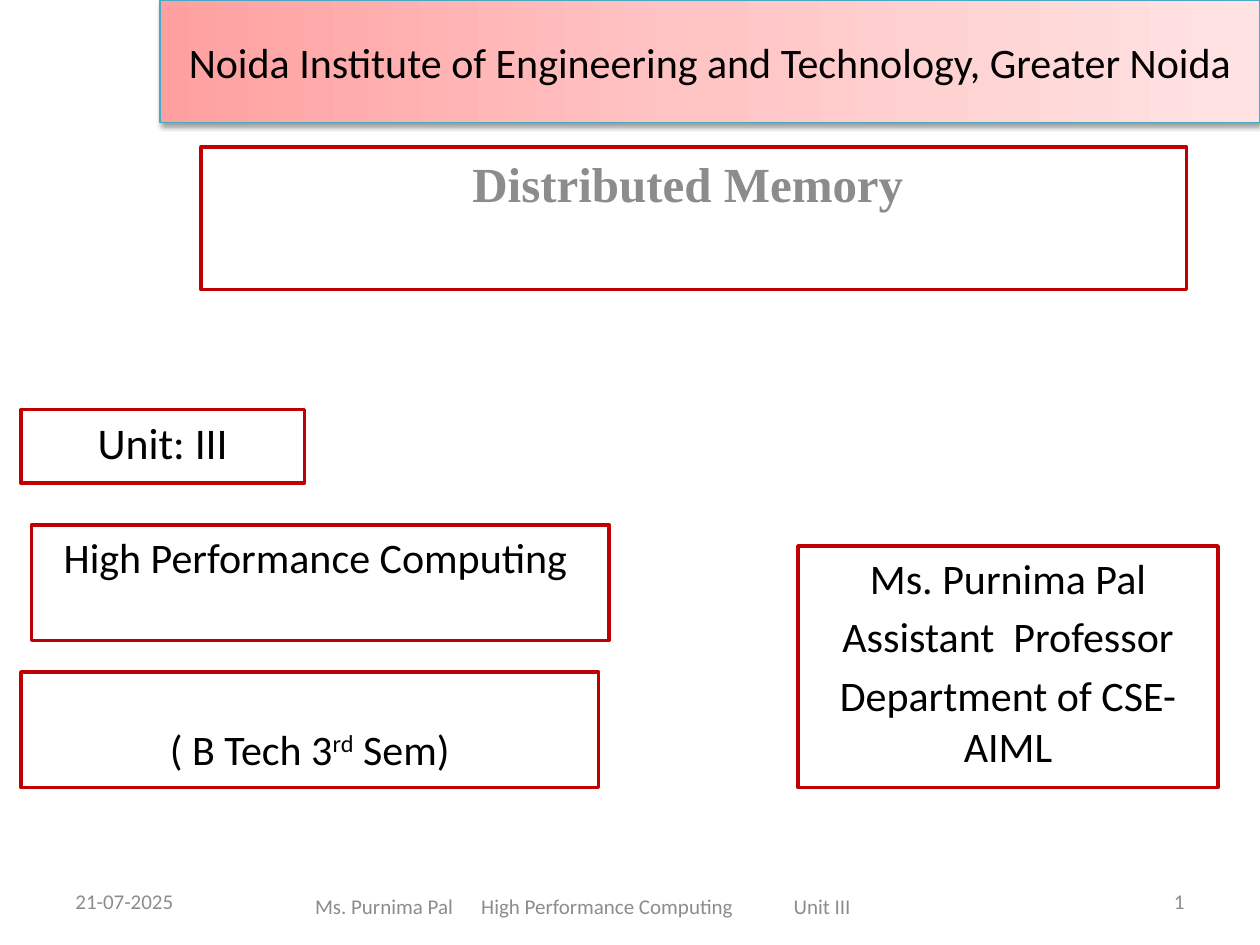
from dataclasses import dataclass
from typing import NamedTuple

from lxml.etree import SubElement
from pptx import Presentation
from pptx.dml.color import RGBColor
from pptx.enum.shapes import MSO_SHAPE
from pptx.enum.text import MSO_ANCHOR, PP_ALIGN
from pptx.oxml import parse_xml
from pptx.oxml.ns import nsdecls, qn
from pptx.util import Pt


@dataclass(frozen=True)
class Theme:
    white: str = "FFFFFF"
    black: str = "000000"
    grey: str = "8C8C8C"
    red: str = "C00000"
    teal: str = "46AAC5"
    gradient: tuple = ((0, "FFA0A0"), (50, "FFC5C5"), (100, "FFE3E3"))
    body: str = "Calibri"
    serif: str = "Times New Roman"
    title_size: float = 28
    unit_size: float = 25
    body_size: float = 24
    footer_size: float = 12
    frame: float = 2
    hairline: float = 0.75


T = Theme()


class Box(NamedTuple):
    left: float
    top: float
    width: float
    height: float


@dataclass(frozen=True)
class Label:
    """Text block; each line is a tuple of (text, superscript) runs."""
    box: Box
    lines: tuple
    size: float = T.body_size
    font: str = T.body
    color: str = T.black
    bold: bool = False
    align: PP_ALIGN = PP_ALIGN.CENTER
    anchor: MSO_ANCHOR = MSO_ANCHOR.TOP
    margin_left: float = 7.2
    margin_bottom: float = 3.6
    tabs: tuple = ()


def line(text: str) -> tuple:
    return ((text, False),)


def rgb(value: str) -> RGBColor:
    return RGBColor.from_string(value)


def write_text(sp, label: Label) -> None:
    tf = sp.text_frame
    frame_format = {
        "word_wrap": True,
        "vertical_anchor": label.anchor,
        "margin_left": Pt(label.margin_left),
        "margin_bottom": Pt(label.margin_bottom),
    }
    for name, value in frame_format.items():
        setattr(tf, name, value)
    font_format = {"name": label.font, "size": Pt(label.size), "bold": label.bold}
    for i, runs in enumerate(label.lines):
        p = tf.add_paragraph() if i else tf.paragraphs[0]
        p.alignment = label.align
        p.space_before = Pt(0.2 * label.size if i else 0)
        if label.tabs:
            tab_list = SubElement(p._p.get_or_add_pPr(), qn("a:tabLst"))
            for pos in label.tabs:
                SubElement(tab_list, qn("a:tab"), pos=str(Pt(pos)), algn="l")
        for text, superscript in runs:
            r = p.add_run()
            r.text = text
            for name, value in font_format.items():
                setattr(r.font, name, value)
            r.font.color.rgb = rgb(label.color)
            if superscript:
                r.font._element.set("baseline", "30000")


def add_rectangle(s, label: Label, line_color: str, line_width: float):
    sp = s.shapes.add_shape(MSO_SHAPE.RECTANGLE, *map(Pt, label.box))
    sp.shadow.inherit = False
    sp.fill.solid()
    sp.fill.fore_color.rgb = rgb(T.white)
    sp.line.color.rgb = rgb(line_color)
    sp.line.width = Pt(line_width)
    write_text(sp, label)
    return sp


def add_banner(s, label: Label) -> None:
    """Rectangle with a three-stop gradient and a soft shadow below it."""
    sp = add_rectangle(s, label, T.teal, T.hairline)
    stops = "".join(
        f'<a:gs pos="{pos * 1000}"><a:srgbClr val="{color}"/></a:gs>'
        for pos, color in T.gradient)
    sp_pr = sp._element.spPr
    sp_pr.replace(sp_pr.find(qn("a:solidFill")), parse_xml(
        f'<a:gradFill {nsdecls("a")} rotWithShape="1"><a:gsLst>{stops}</a:gsLst>'
        '<a:lin ang="0" scaled="0"/></a:gradFill>'))
    shadow = SubElement(sp_pr.find(qn("a:effectLst")), qn("a:outerShdw"),
                        blurRad=str(Pt(3.1)), dist=str(Pt(1.6)),
                        dir="5400000", rotWithShape="0")
    color = SubElement(shadow, qn("a:srgbClr"), val=T.black)
    SubElement(color, qn("a:alpha"), val="38000")


def add_footer(s, box: Box, text: str, align: PP_ALIGN, **extra) -> None:
    label = Label(box, (line(text),), size=T.footer_size, color=T.grey,
                  align=align, anchor=MSO_ANCHOR.MIDDLE, **extra)
    write_text(s.shapes.add_textbox(*map(Pt, box)), label)


BANNER = Label(Box(91.5, 0, 628.5, 70),
               (line("Noida Institute of Engineering and Technology, Greater Noida"),),
               anchor=MSO_ANCHOR.MIDDLE)

FRAMES = (
    Label(Box(115, 84, 563, 81.5), (line("Distributed Memory "),),
          size=T.title_size, font=T.serif, color=T.grey, bold=True),
    Label(Box(456, 312, 240, 138),
          tuple(map(line, ("Ms. Purnima Pal", "Assistant  Professor",
                           "Department of CSE-AIML")))),
    Label(Box(12, 234, 162, 42), (line("Unit: III"),), size=T.unit_size),
    Label(Box(18, 300, 330, 66), (line("High Performance Computing "),)),
    Label(Box(12, 384, 330, 66),
          ((("( B Tech 3", False), ("rd", True), (" Sem)", False)),),
          anchor=MSO_ANCHOR.BOTTOM, margin_bottom=8),
)


def main() -> None:
    prs = Presentation()
    prs.slide_width, prs.slide_height = Pt(720), Pt(540)
    s = prs.slides.add_slide(prs.slide_layouts[6])
    for label in FRAMES:
        add_rectangle(s, label, T.red, T.frame)
    add_footer(s, Box(36, 500.5, 168, 28.75), "21-07-2025", PP_ALIGN.LEFT)
    add_footer(s, Box(126, 503.5, 428.5, 28.75),
               "Ms. Purnima Pal\tHigh Performance Computing\tUnit III",
               PP_ALIGN.LEFT, margin_left=54, tabs=(95, 273.5))
    add_footer(s, Box(516, 500.5, 168, 28.75), "1", PP_ALIGN.RIGHT)
    add_banner(s, BANNER)
    prs.save("out.pptx")


if __name__ == "__main__":
    main()
